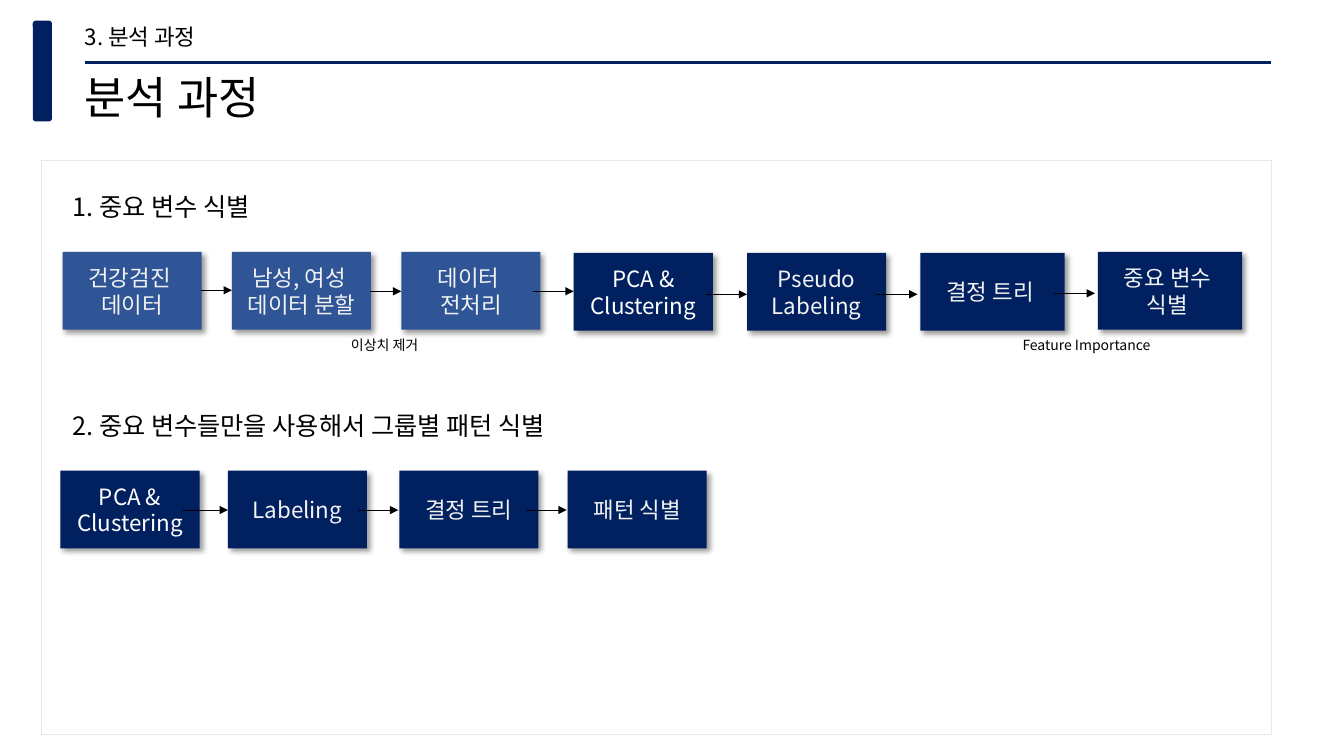
from lxml import etree
from pptx import Presentation
from pptx.dml.color import RGBColor
from pptx.enum.shapes import MSO_CONNECTOR, MSO_SHAPE
from pptx.enum.text import MSO_ANCHOR, PP_ALIGN
from pptx.oxml import parse_xml
from pptx.oxml.ns import nsdecls, qn
from pptx.util import Inches, Pt

RECT, ROUNDED = MSO_SHAPE.RECTANGLE, MSO_SHAPE.ROUNDED_RECTANGLE
STRAIGHT = MSO_CONNECTOR.STRAIGHT
LEFT, CENTER = PP_ALIGN.LEFT, PP_ALIGN.CENTER
TOP, MIDDLE = MSO_ANCHOR.TOP, MSO_ANCHOR.MIDDLE

FONT = "Noto Sans CJK KR"
COLORS = {
    "navy": "002060",
    "blue": "2F5597",
    "black": "000000",
    "white": "FFFFFF",
    "pale": "F2F2F2",
    "border": "595959",
}
BOX_W, WIDE_W, BOX_H = 1.38, 1.43, 0.77

# left, top, width, fill, text colour, lines
VARIABLE_STEPS = [
    (0.62, 2.5, BOX_W, "blue", "pale", ["건강검진 ", "데이터"]),
    (2.3, 2.5, BOX_W, "blue", "pale", ["남성, 여성 ", "데이터 분할"]),
    (3.98, 2.5, BOX_W, "blue", "pale", ["데이터 ", "전처리"]),
    (5.69, 2.51, BOX_W, "navy", "white", ["PCA & Clustering"]),
    (7.41, 2.51, BOX_W, "navy", "pale", ["Pseudo", "Labeling"]),
    (9.13, 2.51, WIDE_W, "navy", "pale", ["결정 트리 "]),
    (10.89, 2.5, WIDE_W, "navy", "pale", ["중요 변수 ", "식별 "]),
]
VARIABLE_ARROWS = [
    (1.99, 2.3, 2.88), (3.67, 3.98, 2.89), (5.29, 5.69, 2.89),
    (7.0, 7.41, 2.92), (8.69, 9.1, 2.92), (10.45, 10.86, 2.91),
]
PATTERN_STEPS = [
    (0.6, 4.67, BOX_W, "navy", "white", ["PCA & Clustering"]),
    (2.26, 4.67, BOX_W, "navy", "pale", ["Labeling"]),
    (3.96, 4.67, BOX_W, "navy", "pale", ["결정 트리"]),
    (5.63, 4.67, BOX_W, "navy", "pale", ["패턴 식별"]),
]
PATTERN_ARROWS = [(1.82, 2.26, 5.06), (3.55, 3.95, 5.06), (5.22, 5.62, 5.06)]


def rgb(name):
    return RGBColor.from_string(COLORS[name])


def write(tf, lines, size, color, align=LEFT, anchor=TOP):
    tf.word_wrap = True
    tf.vertical_anchor = anchor
    for i, line in enumerate(lines):
        p = tf.add_paragraph() if i else tf.paragraphs[0]
        p.text = line
        p.alignment = align
        p.font.size = Pt(size)
        p.font.color.rgb = rgb(color)
        p.font.name = FONT
        latin = p._p.pPr.find(".//" + qn("a:latin"))
        latin.addnext(parse_xml(f'<a:ea {nsdecls("a")} typeface="{FONT}"/>'))


def add_text(s, box, text, size, align=LEFT, inset=True):
    tf = s.shapes.add_textbox(*map(Inches, box)).text_frame
    if not inset:
        tf.margin_left = tf.margin_right = tf.margin_top = tf.margin_bottom = 0
    write(tf, [text], size, "black", align)


def add_line(s, x1, x2, y, color, width, arrow=False):
    line = s.shapes.add_connector(STRAIGHT, *map(Inches, (x1, y, x2, y)))
    line.line.color.rgb = rgb(color)
    line.line.width = Pt(width)
    if arrow:
        etree.SubElement(line.line._get_or_add_ln(), qn("a:tailEnd"), type="triangle")
    etree.SubElement(line._element.spPr, qn("a:effectLst"))


def add_shadow(sp):
    sp.shadow.inherit = False
    effects = sp._element.spPr.find(qn("a:effectLst"))
    effects.append(parse_xml(
        f'<a:outerShdw {nsdecls("a")} blurRad="{Pt(4)}" dist="{Pt(3)}" dir="2700000" '
        f'algn="tl" rotWithShape="0"><a:srgbClr val="{COLORS["black"]}">'
        '<a:alpha val="40000"/></a:srgbClr></a:outerShdw>'))


def add_panel(s, box):
    sp = s.shapes.add_shape(RECT, *map(Inches, box))
    sp.shadow.inherit = False
    sp.fill.background()
    sp.line.color.rgb = rgb("border")
    sp.line.width = Pt(0.25)
    color = sp.line._get_or_add_ln().find(".//" + qn("a:srgbClr"))
    etree.SubElement(color, qn("a:alpha"), val="39000")


def add_header(s, x, y, w, section, title):
    bar = s.shapes.add_shape(
        ROUNDED, *map(Inches, (x - 0.92, y + 0.41, 1, 0.19)))
    bar.rotation = 90
    bar.adjustments[0] = 0.156
    bar.shadow.inherit = False
    bar.fill.solid()
    bar.fill.fore_color.rgb = rgb("navy")
    bar.line.fill.background()
    add_text(s, (x, y + 0.03, 3.7, 0.27), section, 16, inset=False)
    add_text(s, (x, y + 0.49, 6.25, 0.54), title, 32, inset=False)
    add_line(s, x, x + w, y + 0.42, "navy", 2.25)


def add_step(s, left, top, width, fill, color, lines):
    sp = s.shapes.add_shape(RECT, *map(Inches, (left, top, width, BOX_H)))
    sp.fill.solid()
    sp.fill.fore_color.rgb = rgb(fill)
    sp.line.fill.background()
    add_shadow(sp)
    write(sp.text_frame, lines, 16, color, CENTER, MIDDLE)


def add_flow(s, box, heading, steps, arrows, captions=()):
    add_text(s, box, heading, 18)
    for step in steps:
        add_step(s, *step)
    for x1, x2, y in arrows:
        add_line(s, x1, x2, y, "black", 0.5, arrow=True)
    for left, caption in captions:
        add_text(s, (left, box[1] + 1.44, 1.91, 0.27), caption, 10, CENTER)


def main():
    prs = Presentation()
    prs.slide_width, prs.slide_height = Inches(13.33), Inches(7.5)
    s = prs.slides.add_slide(prs.slide_layouts[6])
    add_panel(s, (0.41, 1.59, 12.2, 5.7))
    add_header(s, 0.84, 0.2, 11.77, "3. 분석 과정", "분석 과정")
    add_flow(s, (0.62, 1.85, 4.64, 0.4), "1. 중요 변수 식별",
             VARIABLE_STEPS, VARIABLE_ARROWS,
             [(2.86, "이상치 제거"), (9.82, "Feature Importance")])
    add_flow(s, (0.62, 4.02, 4.99, 0.4), "2. 중요 변수들만을 사용해서 그룹별 패턴 식별",
             PATTERN_STEPS, PATTERN_ARROWS)
    prs.save("out.pptx")


if __name__ == "__main__":
    main()
